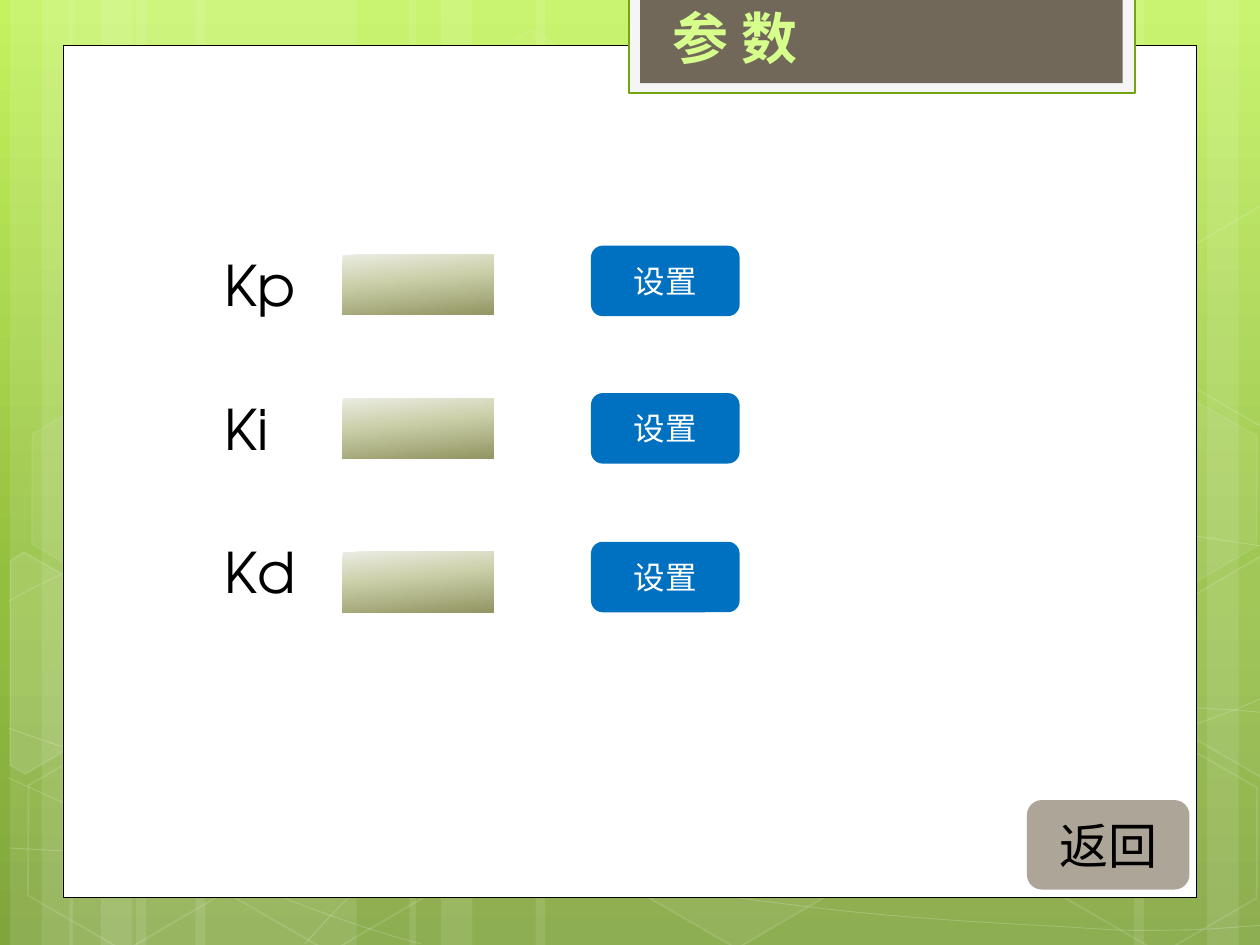
from math import cos, radians, sin
from lxml.etree import SubElement
from pptx import Presentation
from pptx.dml.color import RGBColor
from pptx.enum.shapes import MSO_SHAPE
from pptx.enum.text import MSO_ANCHOR, MSO_AUTO_SIZE, PP_ALIGN
from pptx.oxml import parse_xml
from pptx.oxml.ns import nsdecls, qn
from pptx.util import Inches, Pt

HUES = {
    "white": "FFFFFF", "black": "000000", "frame": "F5F5F5", "edge": "74A510",
    "brown": "71685A", "lime": "D6FF8C", "rim": "434128", "back": "ADA598",
    "blue": "0070C0",
}
SKY = [(0, "C3F35F"), (62, "93BF3F"), (100, "81A53E")]
MOSS = [(0, "EBECE3"), (40, "CDD1AB"), (100, "929663")]
LATIN, CJK = "TeX Gyre Adventor", "Noto Sans CJK SC"
TILT = 30

STRIPES = [
    (1.08, 1.75, 0), (0.08, 0.5, 0), (0.33, 0.83, 0), (1.55, 1.75, 0), (0.55, 0.5, 0),
    (0.8, 0.83, 0), (7.33, 1.75, 180), (9.58, 0.5, 180), (9, 0.83, 180),
    (4.25, 3.08, 0), (3.25, 0.5, 0), (3.5, 0.83, 0),
]
CURVES = [
    [(0.07, 6.73), (0.61, 6.76), (1.15, 6.79), (1.9, 6.78), (2.65, 6.77), (3.58, 6.75),
     (4.58, 6.65), (5.58, 6.55), (7, 6.36), (7.92, 6.17), (8.83, 5.98), (9.77, 5.68),
     (10.07, 5.51)],
    [(0.07, 4.77), (0.36, 4.61), (0.65, 4.46), (1.21, 4.31), (1.78, 4.16), (2.59, 3.94),
     (3.47, 3.87), (4.36, 3.8), (5.44, 3.79), (6.54, 3.87), (7.64, 3.95), (9.47, 4.26),
     (10.07, 4.34)],
    [(0.06, 6.17), (1.27, 6.72), (2.47, 7.27), (3.34, 7.49)],
    [(0.07, 5.78), (0.38, 5.89), (0.7, 6), (1.28, 6.16), (1.86, 6.31), (2.73, 6.56),
     (3.57, 6.73), (4.4, 6.9), (5.45, 7.08), (6.28, 7.18), (7.11, 7.29), (8, 7.33),
     (8.53, 7.36), (9.05, 7.4), (9.19, 7.38), (9.45, 7.38), (9.71, 7.37), (9.89, 7.35),
     (10.07, 7.34)],
    [(2.42, 7.49), (2.6, 7.29), (2.78, 7.09), (3.02, 6.91), (3.26, 6.73), (3.6, 6.53),
     (3.88, 6.39), (4.16, 6.25), (4.33, 6.19), (4.7, 6.09), (5.06, 5.99), (5.73, 5.85),
     (6.08, 5.78), (6.44, 5.71), (6.49, 5.71), (6.8, 5.69), (7.11, 5.66), (7.6, 5.63),
     (7.94, 5.62), (8.29, 5.61), (8.86, 5.62), (8.86, 5.62), (9.08, 5.62), (9.31, 5.62),
     (9.53, 5.62), (9.71, 5.63), (9.88, 5.64), (9.97, 5.65), (10.06, 5.66),
     (10.03, 5.65), (10.06, 5.66)],
]
HEXES = [
    (3.34, 0.36, 4, 8), (4.97, 5.89, 6, 12), (0.11, 5.91, 0, 12), (0.14, 3.12, 7, 8),
    (1.74, 5.92, 0, 12), (7.53, 4.53, 10, 12), (8.34, 5.93, 0, 12), (8.34, 3.14, 7, 8),
]
SHARDS = [
    ((0.36, 5.35), 10, [(0.08, 4.45), (0.19, 4.38), (0.96, 4.82), (0.95, 5.7),
                        (0.2, 6.14), (0.08, 6.07)]),
    ((9.85, 5.2), 4, [(9.26, 4.85), (10.01, 4.41), (10.09, 4.46), (10.09, 6.13),
                      (10.02, 6.17), (9.26, 5.73)]),
    ((9.85, 2.41), 0, [(9.26, 2.07), (10.01, 1.63), (10.1, 1.68), (10.09, 3.35),
                       (10.02, 3.39), (9.26, 2.95)]),
]
ROWS = [("Kp", 1.94, 2.02, 1.95), ("Ki", 3.08, 3.16, 3.12), ("Kd", 4.22, 4.38, 4.3)]


def fade(fill, alpha):
    """Paint a fill white at an opacity in percent."""
    fill.solid()
    fill.fore_color.rgb = RGBColor.from_string(HUES["white"])
    clr = fill._xPr.find(qn("a:solidFill"))[0]
    SubElement(clr, qn("a:alpha")).set("val", str(alpha * 1000))


def veil(shape, fill=0, line=0, width=1):
    """Give a shape a faint white fill and line."""
    shape.shadow.inherit = False
    if fill:
        fade(shape.fill, fill)
    else:
        shape.fill.background()
    if line:
        shape.line.width = Pt(width)
        fade(shape.line.fill, line)
    else:
        shape.line.fill.background()


def blend(fill, root, stops, angle):
    """Paint a linear gradient with any number of stops."""
    fill.gradient()
    grad = root.find(".//" + qn("a:gradFill"))
    items = "".join(
        f'<a:gs pos="{pos * 1000}"><a:srgbClr val="{hue}"/></a:gs>' for pos, hue in stops)
    for kid in list(grad):
        grad.remove(kid)
    grad.append(parse_xml(f'<a:gsLst {nsdecls("a")}>{items}</a:gsLst>'))
    grad.append(parse_xml(f'<a:lin {nsdecls("a")} ang="{angle * 60000}" scaled="0"/>'))


def block(slide, box, hue=None, line=None, width=1, kind=MSO_SHAPE.RECTANGLE):
    """Add a plain preset shape in a box."""
    shape = slide.shapes.add_shape(kind, *map(Inches, box))
    shape.shadow.inherit = False
    if hue:
        shape.fill.solid()
        shape.fill.fore_color.rgb = RGBColor.from_string(HUES[hue])
    if line:
        shape.line.color.rgb = RGBColor.from_string(HUES[line])
        shape.line.width = Pt(width)
    else:
        shape.line.fill.background()
    return shape


def write(frame, text, size, font, hue, align=PP_ALIGN.LEFT):
    """Write one formatted run."""
    para = frame.paragraphs[0]
    para.alignment = align
    run = para.add_run()
    run.text = text
    run.font.size = Pt(size)
    run.font.name = font
    run.font.color.rgb = RGBColor.from_string(HUES[hue])
    SubElement(run._r.rPr, qn("a:ea")).set("typeface", CJK)
    return run


def trace(slide, points, close):
    """Add an outline through points."""
    spots = [(Inches(x), Inches(y)) for x, y in points]
    pen = slide.shapes.build_freeform(*spots[0])
    pen.add_line_segments(spots[1:], close=close)
    return pen.convert_to_shape()


def bend(slide, knots):
    """Add an open chain of cubic curves."""
    shape = trace(slide, knots, False)
    legs = list(shape._element.iter(qn("a:lnTo")))
    track = legs[0].getparent()
    for i in range(0, len(legs), 3):
        curve = SubElement(track, qn("a:cubicBezTo"))
        for leg in legs[i:i + 3]:
            curve.append(leg[0])
            track.remove(leg)
    return shape


def shard(slide, mid, points):
    """Add a closed outline on a tilted frame."""
    c, s = cos(radians(TILT)), sin(radians(TILT))
    flat = []
    for x, y in points:
        dx, dy = x - mid[0], y - mid[1]
        flat.append((mid[0] + dx * c + dy * s, mid[1] - dx * s + dy * c))
    shape = trace(slide, flat, True)
    shape.rotation = TILT
    return shape


def scene(slide, high):
    """Draw the green backdrop with stripes, curves and hexagons."""
    blend(slide.background.fill, slide._element, SKY, 90)
    for x, w, turn in STRIPES:
        band = block(slide, (x, 0, w, high))
        band.rotation = turn
        veil(band, 10)
    for knots in CURVES:
        veil(bend(slide, knots), line=20, width=0.5)
    for x, y, fill, line in HEXES:
        cell = block(slide, (x, y, 1.75, 1.52), kind=MSO_SHAPE.HEXAGON)
        cell.adjustments[0] = 0.285
        cell.rotation = TILT
        veil(cell, fill, line)
    for mid, fill, points in SHARDS:
        veil(shard(slide, mid, points), fill, 12)


def banner(slide, x, y):
    """Place the title tab."""
    block(slide, (x, y, 4.02, 0.76), "frame", "edge", 1.25)
    block(slide, (x + 0.09, y, 3.83, 0.68), "brown")
    title = slide.shapes.title
    title.left, title.top, title.width, title.height = map(
        Inches, (x + 0.25, y, 1.42, 0.64))
    frame = title.text_frame
    frame.word_wrap = False
    frame.auto_size = MSO_AUTO_SIZE.SHAPE_TO_FIT_TEXT
    frame.vertical_anchor = MSO_ANCHOR.TOP
    run = write(frame, "参 数", 32, "Roboto", "lime")
    run.font.bold = True
    run._r.rPr.insert(0, parse_xml(
        f'<a:ln {nsdecls("a")} w="12700"><a:solidFill><a:srgbClr val="{HUES["rim"]}"/>'
        '</a:solidFill></a:ln>'))
    slide.shapes._spTree.append(title._element)


def button(slide, box, text, size, font, hue, ink):
    """Add a rounded button with a centred label."""
    shape = block(slide, box, hue, kind=MSO_SHAPE.ROUNDED_RECTANGLE)
    shape.text_frame.vertical_anchor = MSO_ANCHOR.MIDDLE
    write(shape.text_frame, text, size, font, ink, PP_ALIGN.CENTER)


def gain(slide, x, name, top, mid, low):
    """Place one row: name, value field and button."""
    label = slide.shapes.add_textbox(*map(Inches, (x, top, 0.98, 0.64))).text_frame
    label.word_wrap = True
    write(label, name, 32, LATIN, "black")
    field = block(slide, (x + 1.04, mid, 1.2, 0.48))
    blend(field.fill, field._element, MOSS, 84)
    button(slide, (x + 3.01, low, 1.18, 0.56), "设置", 18, LATIN, "blue", "white")


def build():
    """Build and save the slide."""
    deck = Presentation()
    deck.slide_width, deck.slide_height = Inches(10), Inches(7.5)
    slide = deck.slides.add_slide(deck.slide_layouts[5])
    scene(slide, 7.5)
    block(slide, (0.5, 0.36, 9, 6.76), "white", "black", 0.5)
    banner(slide, 4.99, -0.02)
    button(slide, (8.15, 6.35, 1.29, 0.71), "返回", 28, CJK, "back", "black")
    for row in ROWS:
        gain(slide, 1.68, *row)
    deck.save("out.pptx")


build()
